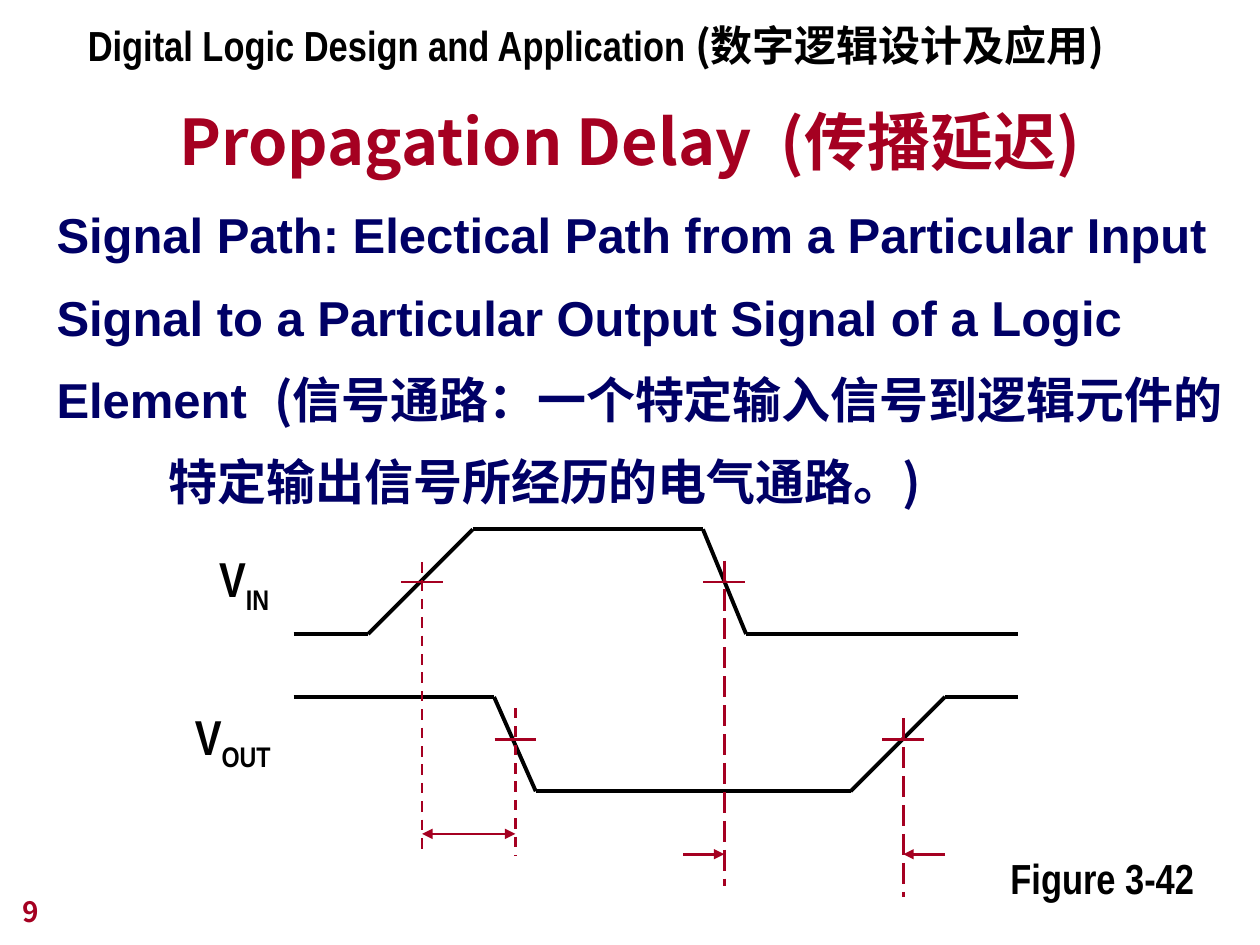
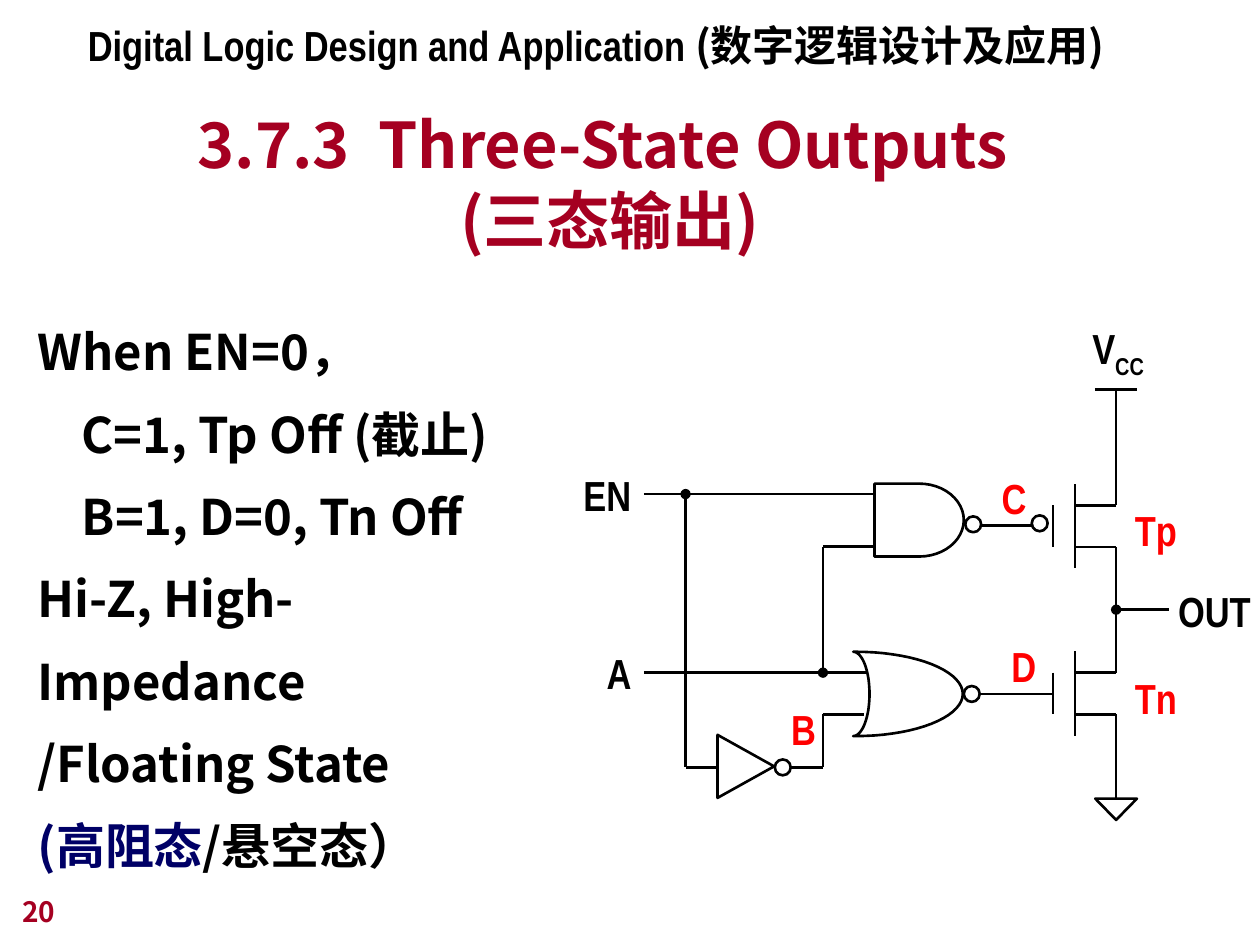
import math

import lxml.etree
import pptx
import pptx.dml.color
import pptx.enum.dml
import pptx.enum.shapes
import pptx.enum.text
import pptx.oxml.ns
import pptx.util
from pptx.util import Cm

BLACK, CRIMSON, NAVY, RED = "000000", "A50021", "000066", "FF0000"
NARROW, SANS, CJK, CJK_SC = "Arial Narrow", "Arial", "Noto Sans CJK JP", "Noto Sans CJK SC"
DASH = pptx.enum.dml.MSO_LINE.DASH
LONG_DASH = pptx.enum.dml.MSO_LINE.LONG_DASH
PRESET = pptx.enum.shapes.MSO_SHAPE
rgb = pptx.dml.color.RGBColor.from_string
qn = pptx.oxml.ns.qn


def write(frame, text, size=24, font=NARROW, color=BLACK, new=False,
          sub=False, spacing=None, indent=0):
    """Append a bold run to the last paragraph, or to a new one."""
    paragraph = frame.add_paragraph() if new else frame.paragraphs[-1]
    if spacing:
        paragraph.line_spacing = spacing
    if indent:
        paragraph._p.get_or_add_pPr().set("marL", str(Cm(indent)))
    run = paragraph.add_run()
    run.text = text
    run.font.size = pptx.util.Pt(size)
    run.font.bold = True
    run.font.color.rgb = rgb(color)
    run.font.name = font
    properties = run._r.get_or_add_rPr()
    lxml.etree.SubElement(properties, qn("a:ea")).set("typeface", font)
    if sub:
        properties.set("baseline", "-25000")


def draw_line(slide, x1, y1, x2, y2, color=BLACK, width=1.5, dash=None, head=None, tail=None):
    """Draw a straight line in centimetres, with optional line ends."""
    line = slide.shapes.add_connector(
        pptx.enum.shapes.MSO_CONNECTOR.STRAIGHT, Cm(x1), Cm(y1), Cm(x2), Cm(y2))
    line.line.color.rgb = rgb(color)
    line.line.width = pptx.util.Pt(width)
    if dash:
        line.line.dash_style = dash
    for tag, end in (("a:headEnd", head), ("a:tailEnd", tail)):
        if end:
            lxml.etree.SubElement(line.line._get_or_add_ln(), qn(tag)).set("type", end)
    lxml.etree.SubElement(line._element.spPr, qn("a:effectLst"))


deck = pptx.Presentation()
deck.slide_width, deck.slide_height = Cm(25.4), Cm(19.05)

# Shared parts: course header, title, page number
slides, bodies = [], []
for number, title_lines, title_at, body_at in (
    ("9", ["Propagation Delay  (传播延迟)"], (1.9, 1.6), (0.89, 3.53, 24.51, 6.91)),
    ("20", ["3.7.3  Three-State Outputs ", "(三态输出)"], (1.5, 3.2), (0.51, 5.89, 10.41, 11.89)),
):
    slide = deck.slides.add_slide(deck.slide_layouts[5])
    slides.append(slide)

    title = slide.shapes.title
    title.left, title.top = Cm(title_at[0]), Cm(title_at[1])
    title.width, title.height = Cm(21.59), Cm(2.11)
    heading = title.text_frame
    heading.auto_size = pptx.enum.text.MSO_AUTO_SIZE.NONE
    heading.vertical_anchor = pptx.enum.text.MSO_ANCHOR.BOTTOM
    heading.paragraphs[0].alignment = pptx.enum.text.PP_ALIGN.CENTER
    for i, title_line in enumerate(title_lines):
        if i:
            heading.paragraphs[0].add_line_break()
        write(heading, title_line, size=36, font=CJK, color=CRIMSON)

    course, page, body = [
        slide.shapes.add_textbox(*map(Cm, at)).text_frame
        for at in ((1.52, 0.27, 21.36, 1.27), (0.2, 17.56, 5.28, 1.27), body_at)]
    for frame in (course, page, body):
        frame.word_wrap = True
    write(course, "Digital Logic Design and Application ")
    write(course, "(数字逻辑设计及应用)", font=CJK)
    page.vertical_anchor = pptx.enum.text.MSO_ANCHOR.BOTTOM
    write(page, number, size=16, font=CJK, color=CRIMSON)
    bodies.append(body)

timing, circuit = slides

# Signal path definition
definition = bodies[0]
write(definition, "Signal Path: Electical Path from a Particular Input Signal to a "
      "Particular Output Signal of a Logic Element  ",
      size=28, font=SANS, color=NAVY, spacing=1.4)
write(definition, "(信号通路：一个特定输入信号到逻辑元件的", size=28, font=CJK_SC, color=NAVY)
write(definition, "特定输出信号所经历的电气通路。)", size=28, font=CJK_SC, color=NAVY,
      new=True, spacing=1.4, indent=2.26)

# Input and output waveforms
LOW_IN, HIGH_IN, HIGH_OUT, LOW_OUT = 12.78, 10.67, 14.05, 15.95
v_in = [(5.92, LOW_IN), (7.42, LOW_IN), (9.53, HIGH_IN),
        (14.17, HIGH_IN), (15.04, LOW_IN), (20.52, LOW_IN)]
v_out = [(5.92, HIGH_OUT), (9.96, HIGH_OUT), (10.8, LOW_OUT),
         (17.15, LOW_OUT), (19.05, HIGH_OUT), (20.52, HIGH_OUT)]
for waveform in (v_in, v_out):
    for start, end in zip(waveform, waveform[1:]):
        draw_line(timing, *start, *end, width=2.25)

# Midpoint markers: x, top, bottom, crossing height
for x, top, bottom, crossing, dash in (
    (8.51, 11.33, 17.25, 11.73, DASH),
    (10.39, 14.27, 17.25, 14.91, DASH),
    (14.6, 11.3, 17.86, 11.73, LONG_DASH),
    (18.21, 14.48, 18.08, 14.91, LONG_DASH),
):
    draw_line(timing, x, top, x, bottom, color=CRIMSON, dash=dash)
    draw_line(timing, x - 0.42, crossing, x + 0.42, crossing, color=CRIMSON)

# Delay arrows
draw_line(timing, 8.51, 16.81, 10.39, 16.81, color=CRIMSON, head="triangle", tail="triangle")
for start, end in ((13.77, 14.6), (19.05, 18.21)):
    draw_line(timing, start, 17.22, end, 17.22, color=CRIMSON, tail="triangle")

# Conditions for the high-impedance state
conditions = bodies[1]
for i, (condition, indent) in enumerate((
    ("When EN=0，", 0),
    ("C=1, Tp Off (截止)", 0.89),
    ("B=1, D=0, Tn Off", 0.89),
    ("Hi-Z, High-Impedance /Floating State", 0),
)):
    write(conditions, condition, size=28, font=CJK, new=i > 0, spacing=1.4, indent=indent)
write(conditions, "(高阻态", size=28, font=CJK, color=NAVY, new=True, spacing=1.4)
write(conditions, "/悬空态）", size=28, font=CJK)

# Transistors Tp and Tn
SUPPLY_X, CHANNEL_X, GATE_X = 22.5, 21.67, 21.23
P_TOP, N_TOP, SPAN = 10.19, 13.56, 0.84
for top in (P_TOP, N_TOP):
    draw_line(circuit, GATE_X, top, GATE_X, top + SPAN)
    draw_line(circuit, CHANNEL_X, top - 0.43, CHANNEL_X, top + SPAN + 0.43)
    for y in (top, top + SPAN):
        draw_line(circuit, CHANNEL_X, y, SUPPLY_X, y)

# Wires
EN_Y, A_Y, B_Y, INVERTER_Y, NOR_Y = 9.96, 13.56, 14.4, 15.47, 13.99
EN_X, BRANCH_X, INPUT_X, NAND_X = 13.82, 16.59, 12.98, 17.63
for wire in (
    (SUPPLY_X, 7.85, SUPPLY_X, P_TOP),
    (SUPPLY_X - 0.43, 7.85, SUPPLY_X + 0.43, 7.85),
    (SUPPLY_X, P_TOP + SPAN, SUPPLY_X, N_TOP),
    (SUPPLY_X, N_TOP + SPAN, SUPPLY_X, 16.1),
    (19.76, 10.59, 20.8, 10.59),
    (19.76, NOR_Y, GATE_X, NOR_Y),
    (INPUT_X, EN_Y, NAND_X, EN_Y),
    (BRANCH_X, 11.02, NAND_X, 11.02),
    (INPUT_X, A_Y, 17.45, A_Y),
    (BRANCH_X, B_Y, 17.42, B_Y),
    (BRANCH_X, B_Y, BRANCH_X, INVERTER_Y),
    (15.95, INVERTER_Y, BRANCH_X, INVERTER_Y),
    (EN_X, INVERTER_Y, 14.45, INVERTER_Y),
):
    draw_line(circuit, *wire)

# Wires that start at a junction dot
for wire in (
    (SUPPLY_X, 12.29, 23.57, 12.29),
    (BRANCH_X, A_Y, BRANCH_X, 11.02),
    (EN_X, EN_Y, EN_X, INVERTER_Y),
):
    draw_line(circuit, *wire, head="oval")

# NAND gate, inverter, ground and inversion bubbles
symbols = []
for preset, turn, *at in (
    (PRESET.FLOWCHART_DELAY, 0, NAND_X, 9.75, 1.8, 1.47),
    (PRESET.ISOSCELES_TRIANGLE, 90, 14.4, 14.88, 1.27, 1.14),
    (PRESET.FLOWCHART_MERGE, 0, SUPPLY_X - 0.42, 16.1, 0.84, 0.43),
    (PRESET.OVAL, 0, 19.46, 10.41, 0.32, 0.32),
    (PRESET.OVAL, 0, 20.8, 10.39, 0.32, 0.32),
    (PRESET.OVAL, 0, 19.43, 13.83, 0.32, 0.32),
    (PRESET.OVAL, 0, 15.62, 15.31, 0.32, 0.32),
):
    symbol = circuit.shapes.add_shape(preset, *map(Cm, at))
    symbol.rotation = turn
    symbols.append(symbol)

# NOR gate: elliptical front, then the shallow curve of its back
angles = [math.radians(degree) for degree in range(-90, 91, 5)]
front = [(17.25 + 2.16 * math.cos(a), NOR_Y + 0.85 * math.sin(a)) for a in angles]
back = [(17.2 + 0.33 * math.cos(a), NOR_Y + 0.85 * math.sin(a)) for a in reversed(angles)]
outline = [(Cm(x), Cm(y)) for x, y in front + back]
nor_gate = circuit.shapes.build_freeform(*outline[0])
nor_gate.add_line_segments(outline[1:], close=True)
symbols.append(nor_gate.convert_to_shape())

for symbol in symbols:
    symbol.shadow.inherit = False
    symbol.fill.background()
    symbol.line.color.rgb = rgb(BLACK)
    symbol.line.width = pptx.util.Pt(1.5)

# Labels: text, subscript, size, colour, left, top, width
for slide, text, subscript, size, color, left, top, width in (
    (timing, "V", "IN", 28, BLACK, 4.17, 10.94, 1.7),
    (timing, "V", "OUT", 28, BLACK, 3.68, 14.12, 2.1),
    (timing, "Figure 3-42", "", 24, BLACK, 20.12, 17.07, 4.22),
    (circuit, "V", "CC", 24, BLACK, 21.77, 6.38, 1.55),
    (circuit, "OUT", "", 24, BLACK, 23.5, 11.68, 1.9),
    (circuit, "EN", "", 24, BLACK, 11.51, 9.34, 1.47),
    (circuit, "A", "", 24, BLACK, 11.98, 12.93, 0.99),
    (circuit, "B", "", 24, RED, 15.7, 14.05, 0.99),
    (circuit, "C", "", 24, RED, 19.94, 9.4, 0.99),
    (circuit, "D", "", 24, RED, 20.14, 12.78, 0.99),
    (circuit, "Tp", "", 24, RED, 22.63, 10.05, 1.35),
    (circuit, "Tn", "", 24, RED, 22.63, 13.43, 1.35),
):
    label = slide.shapes.add_textbox(Cm(left), Cm(top), Cm(width), Cm(1.27)).text_frame
    label.word_wrap = True
    label.margin_right = 0
    write(label, text, size=size, color=color)
    if subscript:
        write(label, subscript, size=size, color=color, sub=True)

deck.save("out.pptx")
